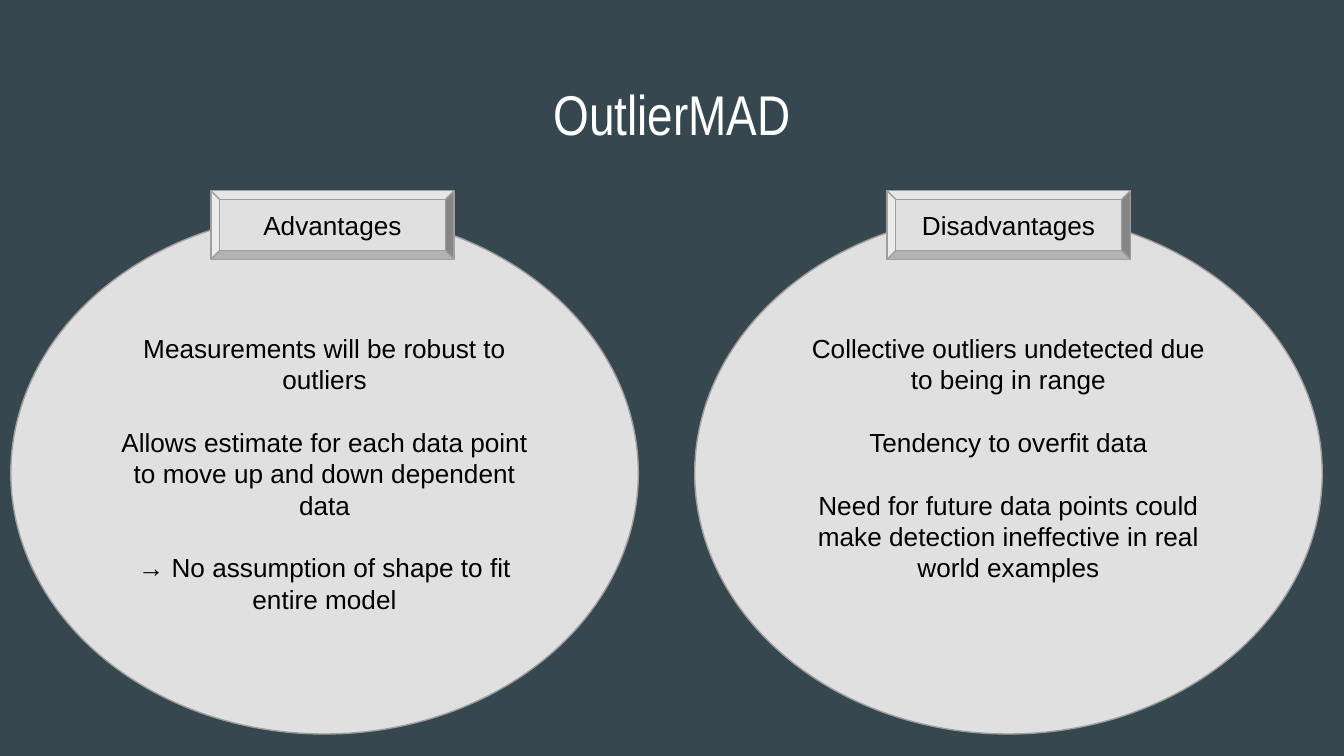
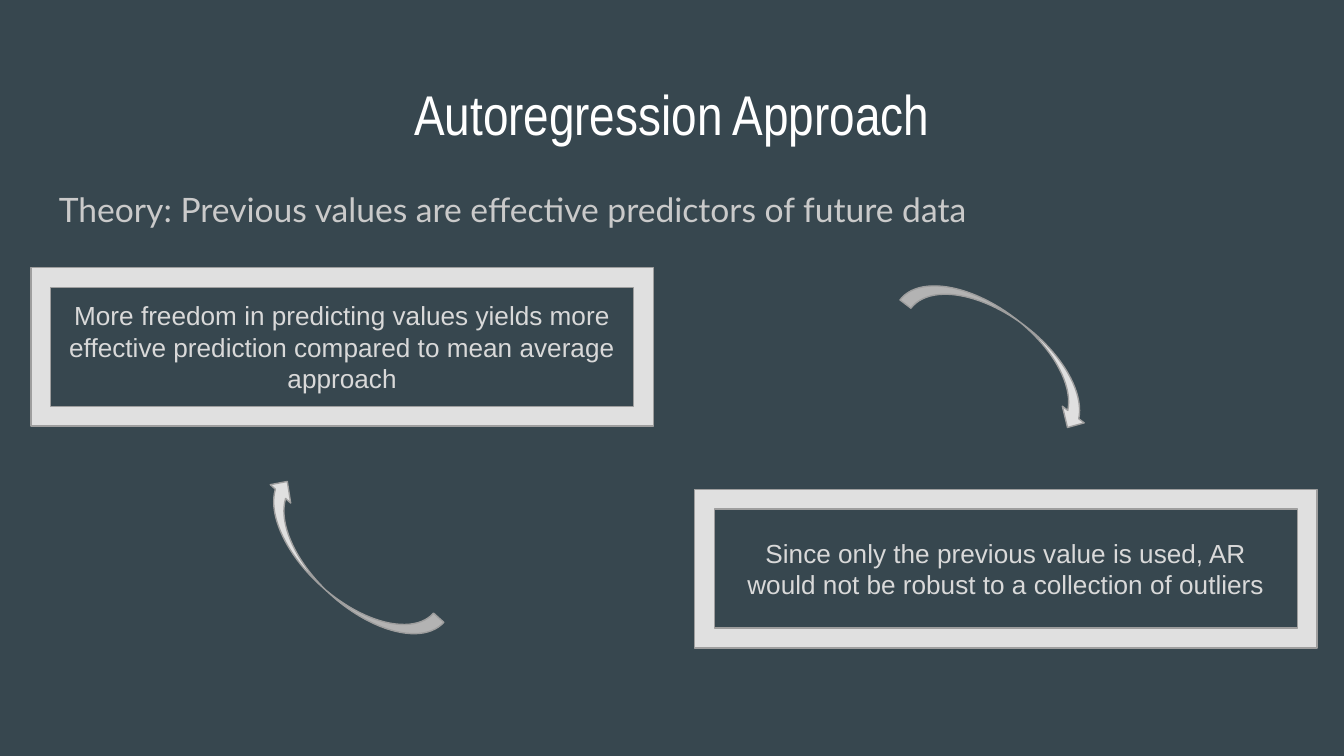
"""Build two slides on outlier detection: OutlierMAD and the autoregression approach."""
from dataclasses import dataclass

from pptx import Presentation
from pptx.dml.color import RGBColor
from pptx.enum import shapes, text
from pptx.util import Pt

COLORS = {
    "background": "37474F",
    "title": "FFFFFF",
    "theory": "CACACA",
    "fill": "E0E0E0",
    "line": "9E9E9E",
    "dark": "000000",
    "light": "D9D9D9",
}
SHAPE = shapes.MSO_SHAPE
CENTER, LEFT = text.PP_ALIGN.CENTER, text.PP_ALIGN.LEFT
INSET = 7.2
LINE = 16.8


@dataclass(frozen=True)
class Box:
    left: float
    top: float
    width: float
    height: float

    def lengths(self) -> list:
        return [Pt(v) for v in (self.left, self.top, self.width, self.height)]


@dataclass(frozen=True)
class Item:
    kind: int
    box: Box
    lines: tuple[str, ...] = ()
    color: str = "dark"
    rotation: float = 0
    bottom: float = INSET


TITLE_BOX = Box(24.5, 35.3, 671, 45.4)
THEORY_BOX = Box(24.5, 90.7, 671, 269.3)


def rgb(name: str) -> RGBColor:
    return RGBColor.from_string(COLORS[name])


def style(p, font: str, size: float, color: str, align) -> None:
    p.alignment = align
    p.font.name = font
    p.font.size = Pt(size)
    p.font.color.rgb = rgb(color)


def set_frame(tf, anchor, bottom: float = INSET) -> None:
    tf.word_wrap = True
    tf.vertical_anchor = anchor
    tf.margin_left = tf.margin_right = tf.margin_top = Pt(INSET)
    tf.margin_bottom = Pt(bottom)


def add_text(s, box: Box, words: str, font: str, size: float, color: str, align):
    tf = s.shapes.add_textbox(*box.lengths()).text_frame
    set_frame(tf, text.MSO_ANCHOR.TOP)
    p = tf.paragraphs[0]
    p.text = words
    style(p, font, size, color, align)
    return p


def add_item(s, item: Item) -> None:
    sp = s.shapes.add_shape(item.kind, *item.box.lengths())
    sp.shadow.inherit = False
    sp.rotation = item.rotation
    sp.fill.solid()
    sp.fill.fore_color.rgb = rgb("fill")
    sp.line.color.rgb = rgb("line")
    sp.line.width = Pt(0.75)
    tf = sp.text_frame
    set_frame(tf, text.MSO_ANCHOR.MIDDLE, item.bottom)
    for i, words in enumerate(item.lines):
        p = tf.add_paragraph() if i else tf.paragraphs[0]
        p.text = words
        p.line_spacing = Pt(LINE)
        if i:
            p.space_before = Pt(LINE)
        style(p, "Arial", 14, item.color, CENTER)


def add_slide(prs, title: str, items: list[Item], theory: str = "") -> None:
    s = prs.slides.add_slide(prs.slide_layouts[6])
    s.background.fill.solid()
    s.background.fill.fore_color.rgb = rgb("background")
    add_text(s, TITLE_BOX, title, "Arial Narrow", 30, "title", CENTER)
    if theory:
        p = add_text(s, THEORY_BOX, theory, "Lato", 18, "theory", LEFT)
        p.line_spacing = 1.15
        p.space_after = Pt(16)
    for item in items:
        add_item(s, item)


def oval(left: float, lines: tuple[str, ...], bottom: float = INSET) -> Item:
    return Item(SHAPE.OVAL, Box(left, 113.8, 336.2, 279.4), lines, bottom=bottom)


def label(left: float, words: str) -> Item:
    return Item(SHAPE.BEVEL, Box(left, 102.2, 130.3, 36.7), (words,))


def panel(left: float, top: float, words: str) -> Item:
    return Item(SHAPE.FRAME, Box(left, top, 333.4, 85), (words,), "light")


def arrow(left: float, top: float, rotation: float) -> Item:
    return Item(SHAPE.CURVED_DOWN_ARROW, Box(left, top, 120.2, 29.5), rotation=rotation)


def main() -> None:
    prs = Presentation()
    prs.slide_width, prs.slide_height = Pt(720), Pt(405)
    add_slide(prs, "OutlierMAD", [
        oval(5.8, (
            "Measurements will be robust to outliers",
            "Allows estimate for each data point to move up and down dependent data",
            "→ No assumption of shape to fit entire model",
        )),
        oval(372.2, (
            "Collective outliers undetected due to being in range",
            "Tendency to overfit data",
            "Need for future data points could make detection ineffective "
            "in real world examples",
        ), bottom=INSET + LINE),
        label(113, "Advantages"),
        label(475.2, "Disadvantages"),
    ])
    add_slide(prs, "Autoregression Approach", [
        panel(16.6, 143.3, "More freedom in predicting values yields more effective "
                           "prediction compared to mean average approach"),
        panel(372.2, 262.1, "Since only the previous value is used, AR would not be "
                            "robust to a collection of outliers"),
        arrow(478.8, 170.6, 37.3),
        arrow(123.1, 289.4, 222),
    ], "Theory: Previous values are effective predictors of future data")
    prs.save("out.pptx")


if __name__ == "__main__":
    main()
